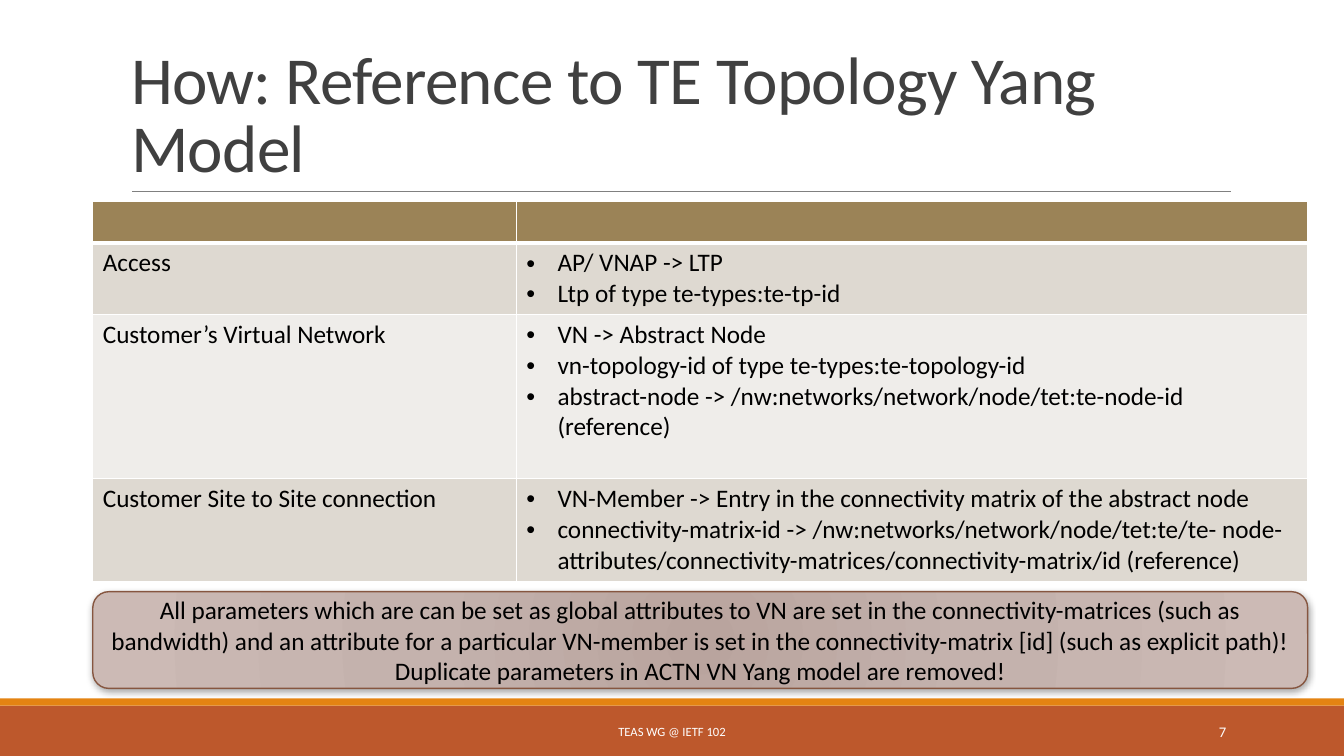
from dataclasses import dataclass

from lxml import etree
from pptx import Presentation
from pptx.dml.color import RGBColor
from pptx.enum.shapes import MSO_CONNECTOR as Connector, MSO_SHAPE as Preset
from pptx.enum.text import MSO_ANCHOR as Anchor, MSO_AUTO_SIZE as AutoSize, PP_ALIGN as Align
from pptx.oxml import parse_xml
from pptx.oxml.ns import nsdecls, qn
from pptx.util import Inches, Pt

WIDTH, HEIGHT = 13.33, 7.5
LEFT, SPAN = 0.92, 12.05
FOOT_TOP, FOOT_HEIGHT = 7.06, 0.4
FONT = "Calibri"
BLACK, WHITE = "000000", "FFFFFF"


@dataclass(frozen=True)
class Area:
    """A rectangle in inches."""
    left: float
    top: float
    width: float
    height: float

    def lengths(self) -> tuple:
        """Return the four lengths for python-pptx."""
        return tuple(Inches(v) for v in (self.left, self.top, self.width, self.height))


@dataclass(frozen=True)
class Topic:
    """One body row of the mapping table."""
    name: str
    points: tuple
    height: float
    fill: str


@dataclass(frozen=True)
class Band:
    """A full-width strip at the foot of the page."""
    top: float
    height: float
    fill: str


@dataclass(frozen=True)
class FootText:
    """A short text on the footer strip."""
    text: str
    left: float
    width: float
    size: float
    align: Align


TOPICS = (
    Topic("Access", ("AP/ VNAP -> LTP", "Ltp of type te-types:te-tp-id"), 0.7, "DED9D1"),
    Topic("Customer’s Virtual Network", (
        "VN -> Abstract Node",
        "vn-topology-id of type te-types:te-topology-id",
        "abstract-node -> /nw:networks/network/node/tet:te-node-id (reference)"), 1.63, "EFEDEA"),
    Topic("Customer Site to Site connection", (
        "VN-Member -> Entry in the connectivity matrix of the abstract node",
        "connectivity-matrix-id -> /nw:networks/network/node/tet:te/te- "
        "node-attributes/connectivity-matrices/connectivity-matrix/id (reference)"), 1.01, "DED9D1"),
)
SUMMARY = (
    "All parameters which are can be set as global attributes to VN are set in the "
    "connectivity-matrices (such as bandwidth) and an attribute for a particular VN-member "
    "is set in the connectivity-matrix [id] (such as explicit path)!",
    "Duplicate parameters in ACTN VN Yang model are removed!",
)
BANDS = (Band(7, 0.5, "BD582C"), Band(6.93, 0.07, "E48312"))
FOOT_TEXTS = (
    FootText("TEAS WG @ IETF 102", 4.03, 5.27, 9, Align.CENTER),
    FootText("7", 10.83, 1.43, 10.5, Align.RIGHT),
)
GRADIENT = ((0, "B9A49E"), (45, "C4B2AD"), (100, "CCBAB5"))


def color(value: str) -> RGBColor:
    """Turn a hex string into a colour."""
    return RGBColor.from_string(value)


def write(frame, lines, size: float, ink: str, align=Align.LEFT) -> list:
    """Write one paragraph a line and return the paragraphs."""
    frame.word_wrap = True
    paras = []
    for index, line in enumerate(lines):
        para = frame.add_paragraph() if index else frame.paragraphs[0]
        para.alignment = align
        span = para.add_run()
        span.text = line
        span.font.name, span.font.size = FONT, Pt(size)
        span.font.color.rgb = color(ink)
        paras.append(para)
    return paras


def add_bullet(para) -> None:
    """Give a paragraph a hanging round bullet."""
    props = para._p.get_or_add_pPr()
    indent = Inches(0.31)
    props.set("marL", str(indent))
    props.set("indent", str(-indent))
    etree.SubElement(props, qn("a:buFont")).set("typeface", "Arial")
    etree.SubElement(props, qn("a:buChar")).set("char", "•")


def style_cell(cell, fill: str, bottom: float = 1) -> None:
    """Set white borders and the fill of a cell."""
    props = cell._tc.get_or_add_tcPr()
    for side, points in (("L", 1), ("R", 1), ("T", 1), ("B", bottom)):
        props.append(parse_xml(
            f'<a:ln{side} {nsdecls("a")} w="{Pt(points)}"><a:solidFill>'
            f'<a:srgbClr val="{WHITE}"/></a:solidFill></a:ln{side}>'))
    cell.fill.solid()
    cell.fill.fore_color.rgb = color(fill)


def add_bands(page) -> None:
    """Draw the footer strips."""
    for band in BANDS:
        area = Area(0, band.top, WIDTH, band.height)
        strip = page.shapes.add_shape(Preset.RECTANGLE, *area.lengths())
        strip.shadow.inherit = False
        strip.fill.solid()
        strip.fill.fore_color.rgb = color(band.fill)
        strip.line.fill.background()


def add_title(page) -> None:
    """Fill the title placeholder and draw the rule below it."""
    rule = page.shapes.add_connector(
        Connector.STRAIGHT, *(Inches(v) for v in (1.31, 1.9, 12.21, 1.9)))
    rule.line.color.rgb = color("808080")
    rule.line.width = Pt(0.5)
    etree.SubElement(rule._element.spPr, qn("a:effectLst"))
    title = page.shapes.title
    title.left, title.top, title.width, title.height = Area(1.2, 0.31, 11, 1.59).lengths()
    frame = title.text_frame
    frame.auto_size = AutoSize.NONE
    frame.vertical_anchor = Anchor.BOTTOM
    para, = write(frame, ["How: Reference to TE Topology Yang Model"], 48, "404040")
    para.line_spacing = 0.85
    para.runs[0]._r.get_or_add_rPr().set("spc", "-50")


def add_mapping(page) -> None:
    """Draw the table that maps VN terms to TE topology."""
    heights = (0.41, *(topic.height for topic in TOPICS))
    area = Area(LEFT, 2, SPAN, sum(heights))
    table = page.shapes.add_table(len(heights), 2, *area.lengths()).table
    table.first_row = table.horz_banding = False
    for column, width in zip(table.columns, (4.2, 7.85)):
        column.width = Inches(width)
    for row, height in zip(table.rows, heights):
        row.height = Inches(height)
    for cell in table.rows[0].cells:
        style_cell(cell, "9B8357", bottom=3)
    for index, topic in enumerate(TOPICS, 1):
        name, detail = table.rows[index].cells
        for cell in (name, detail):
            style_cell(cell, topic.fill)
        write(name.text_frame, [topic.name], 18, BLACK)
        for para in write(detail.text_frame, topic.points, 18, BLACK):
            add_bullet(para)


def add_summary(page) -> None:
    """Draw the shaded summary box."""
    area = Area(LEFT, 5.87, SPAN, 0.96)
    box = page.shapes.add_shape(Preset.ROUNDED_RECTANGLE, *area.lengths())
    box.shadow.inherit = False
    box.line.color.rgb = color("865640")
    box.line.width = Pt(1)
    box.fill.background()
    props = box._element.spPr
    stops = "".join(f'<a:gs pos="{share * 1000}"><a:srgbClr val="{tint}"/></a:gs>'
                    for share, tint in GRADIENT)
    props.replace(props.find(qn("a:noFill")), parse_xml(
        f'<a:gradFill {nsdecls("a")} rotWithShape="1"><a:gsLst>{stops}</a:gsLst>'
        '<a:path path="circle"><a:fillToRect l="100000" t="100000" r="100000" b="100000"/>'
        '</a:path></a:gradFill>'))
    props.find(qn("a:effectLst")).append(parse_xml(
        f'<a:outerShdw {nsdecls("a")} blurRad="{Pt(5)}" dist="{Pt(1)}" dir="5400000" '
        f'rotWithShape="0"><a:srgbClr val="{BLACK}"><a:alpha val="32000"/></a:srgbClr>'
        '</a:outerShdw>'))
    box.text_frame.vertical_anchor = Anchor.MIDDLE
    write(box.text_frame, SUMMARY, 18, BLACK, Align.CENTER)


def add_foot_texts(page) -> None:
    """Write the footer and the page number."""
    for item in FOOT_TEXTS:
        area = Area(item.left, FOOT_TOP, item.width, FOOT_HEIGHT)
        box = page.shapes.add_textbox(*area.lengths())
        box.text_frame.vertical_anchor = Anchor.MIDDLE
        write(box.text_frame, [item.text], item.size, WHITE, item.align)


deck = Presentation()
deck.slide_width, deck.slide_height = Inches(WIDTH), Inches(HEIGHT)
page = deck.slides.add_slide(deck.slide_layouts.get_by_name("Title Only"))
for draw in (add_bands, add_title, add_mapping, add_summary, add_foot_texts):
    draw(page)
deck.save("out.pptx")
